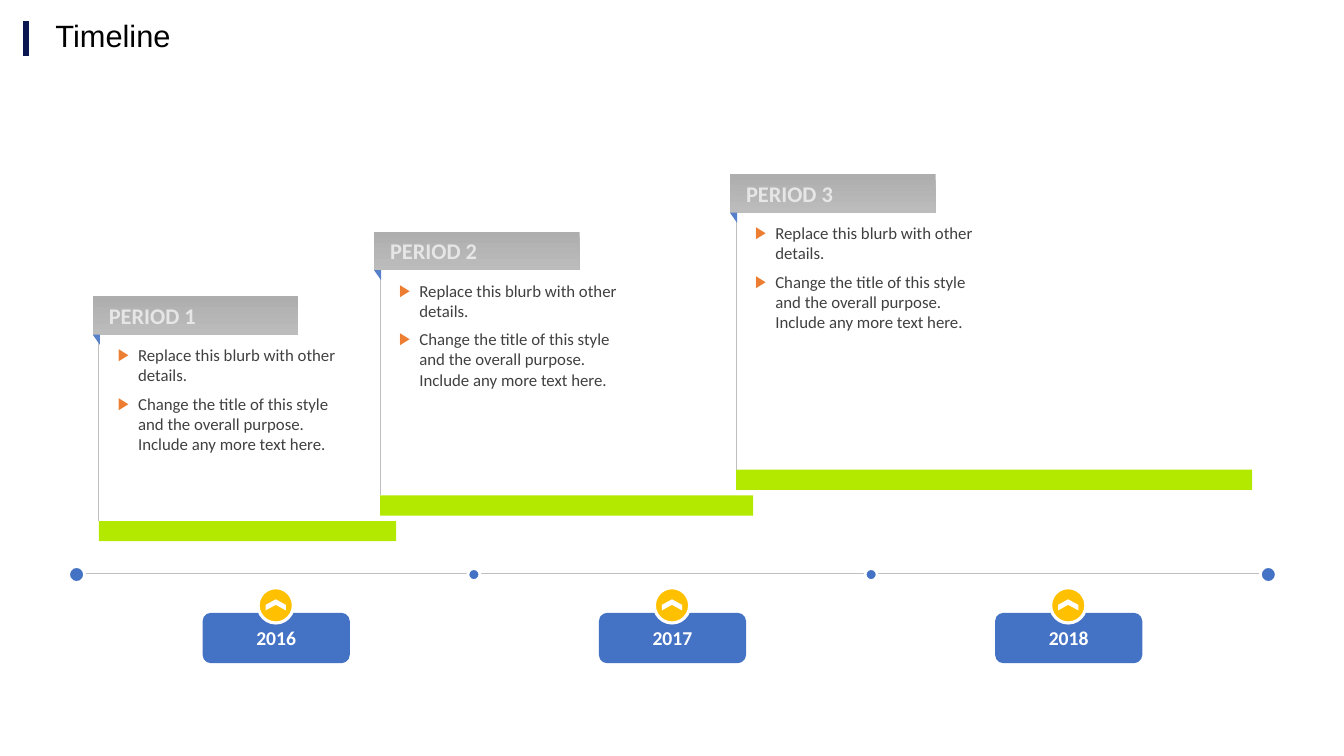
from lxml.etree import SubElement
from pptx import Presentation
from pptx.dml.color import RGBColor
from pptx.enum.shapes import MSO_CONNECTOR, MSO_SHAPE
from pptx.enum.text import MSO_ANCHOR, PP_ALIGN
from pptx.oxml.ns import qn
from pptx.util import Inches, Pt

COLORS = {
    "navy": "0A1750", "blue": "4472C4", "fold": "5780CA", "green": "B3E900",
    "gold": "FFC000", "orange": "ED7D31", "rule": "BFBFBF", "white": "FFFFFF",
    "black": "000000", "body": "404040", "label": "E7E6E6",
    "grey_top": "AEAEAE", "grey_bottom": "BCBCBC",
}
YEARS = ["2016", "2017", "2018"]
# Name, stem x, label top, bar width
PERIODS = [
    ("PERIOD 1", 0.98, 2.94, 2.95),
    ("PERIOD 2", 3.77, 2.3, 3.7),
    ("PERIOD 3", 7.3, 1.73, 5.12),
]
DETAILS = [
    "Replace this blurb with other details.",
    "Change the title of this style and the overall purpose. "
    "Include any more text here.",
]
AXIS_Y = 5.69
YEAR_STEP = 3.93
BAR_STEP = 0.255


def rgb(name):
    return RGBColor.from_string(COLORS[name])


def write(p, text, size=12, color="body", font="Calibri", bold=False,
          align=PP_ALIGN.LEFT):
    p.alignment = align
    r = p.add_run()
    r.text = text
    r.font.size, r.font.name, r.font.bold = Pt(size), font, bold
    r.font.color.rgb = rgb(color)


def set_frame(tf, insets=(0, 0, 0, 0), anchor=MSO_ANCHOR.MIDDLE):
    tf.word_wrap = True
    tf.vertical_anchor = anchor
    tf.margin_left, tf.margin_top, tf.margin_right, tf.margin_bottom = (
        Inches(v) for v in insets)


def add_bullet(p):
    pPr = p._p.get_or_add_pPr()
    pPr.set("marL", str(Inches(0.2)))
    pPr.set("indent", str(-Inches(0.2)))
    color = SubElement(pPr, qn("a:buClr"))
    SubElement(color, qn("a:srgbClr"), val=COLORS["orange"])
    SubElement(pPr, qn("a:buFont"), typeface="Arial")
    SubElement(pPr, qn("a:buChar"), char="▶")


def add_box(shapes, kind, x, y, w, h, fill, line=None, width=0, rotation=0):
    sp = shapes.add_shape(kind, Inches(x), Inches(y), Inches(w), Inches(h))
    sp.shadow.inherit = False
    sp.rotation = rotation
    sp.fill.solid()
    sp.fill.fore_color.rgb = rgb(fill)
    if line:
        sp.line.color.rgb = rgb(line)
        sp.line.width = Pt(width)
    else:
        sp.line.fill.background()
    return sp


def add_line(shapes, x1, y1, x2, y2, color="rule", width=0.75):
    line = shapes.add_connector(MSO_CONNECTOR.STRAIGHT, Inches(x1), Inches(y1),
                                Inches(x2), Inches(y2))
    line.line.color.rgb = rgb(color)
    line.line.width = Pt(width)
    SubElement(line._element.spPr, qn("a:effectLst"))


def add_title(shapes, text):
    add_line(shapes, 0.26, 0.21, 0.26, 0.56, "navy", 4.5)
    title = shapes.title
    title.left, title.top = Inches(0.45), Inches(0)
    title.width, title.height = Inches(8.58), Inches(0.74)
    set_frame(title.text_frame, (0.1, 0.05, 0.1, 0.05))
    p = title.text_frame.paragraphs[0]
    p.line_spacing = 0.9
    write(p, text, size=22, color="black", font="Arial")


def add_axis(shapes):
    add_line(shapes, 0.68, AXIS_Y, 12.65, AXIS_Y)
    for i, size in enumerate([0.16, 0.12, 0.12, 0.16]):
        add_box(shapes, MSO_SHAPE.OVAL, 0.76 + 3.94 * i - size / 2,
                5.7 - size / 2, size, size, "blue", "white", 2)


def add_year(shapes, x, year):
    sp = add_box(shapes, MSO_SHAPE.ROUNDED_RECTANGLE, x, 6.08, 1.46, 0.5, "blue")
    set_frame(sp.text_frame)
    write(sp.text_frame.paragraphs[0], year, size=14, color="white", bold=True,
          align=PP_ALIGN.CENTER)
    # Badge with an upward chevron
    badge = shapes.add_group_shape().shapes
    add_box(badge, MSO_SHAPE.OVAL, x + 0.55, 5.83, 0.35, 0.35, "gold",
            "white", 2.25, rotation=180)
    add_box(badge, MSO_SHAPE.CHEVRON, x + 0.67, 5.9, 0.11, 0.2, "white",
            rotation=270)


def add_details(shapes, x, y):
    box = shapes.add_textbox(Inches(x), Inches(y), Inches(2.3), Inches(1.21))
    tf = box.text_frame
    set_frame(tf, anchor=MSO_ANCHOR.TOP)
    for i, text in enumerate(DETAILS):
        p = tf.add_paragraph() if i else tf.paragraphs[0]
        p.level = 2
        add_bullet(p)
        p.space_before = Pt(6 if i else 0)
        write(p, text)


def add_period(shapes, name, x, top, bar_top, bar_width):
    # Duration bar and stem
    add_box(shapes, MSO_SHAPE.RECTANGLE, x, bar_top, bar_width, 0.2, "green")
    add_line(shapes, x, bar_top, x, top + 0.17)
    add_details(shapes, x + 0.19, top + 0.48)
    # Ribbon label and its fold
    left = x - 0.06
    sp = add_box(shapes, MSO_SHAPE.RECTANGLE, left, top, 2.04, 0.38, "grey_top")
    sp.fill.gradient()
    sp.fill.gradient_angle = 270
    for stop, color in zip(sp.fill.gradient_stops, ("grey_top", "grey_bottom")):
        stop.color.rgb = rgb(color)
    set_frame(sp.text_frame, (0.16, 0.08, 0.08, 0.08))
    write(sp.text_frame.paragraphs[0], name, size=16, color="label", bold=True)
    add_box(shapes, MSO_SHAPE.RIGHT_TRIANGLE, left, top + 0.38, 0.07, 0.1,
            "fold", rotation=180)


def main():
    prs = Presentation()
    prs.slide_width, prs.slide_height = Inches(13.33), Inches(7.5)
    shapes = prs.slides.add_slide(prs.slide_layouts[5]).shapes
    add_title(shapes, "Timeline")
    add_axis(shapes)
    for i, year in enumerate(YEARS):
        add_year(shapes, 2.01 + YEAR_STEP * i, year)
    for i, (name, x, top, bar_width) in enumerate(PERIODS):
        add_period(shapes, name, x, top, 5.17 - BAR_STEP * i, bar_width)
    prs.save("out.pptx")


if __name__ == "__main__":
    main()
